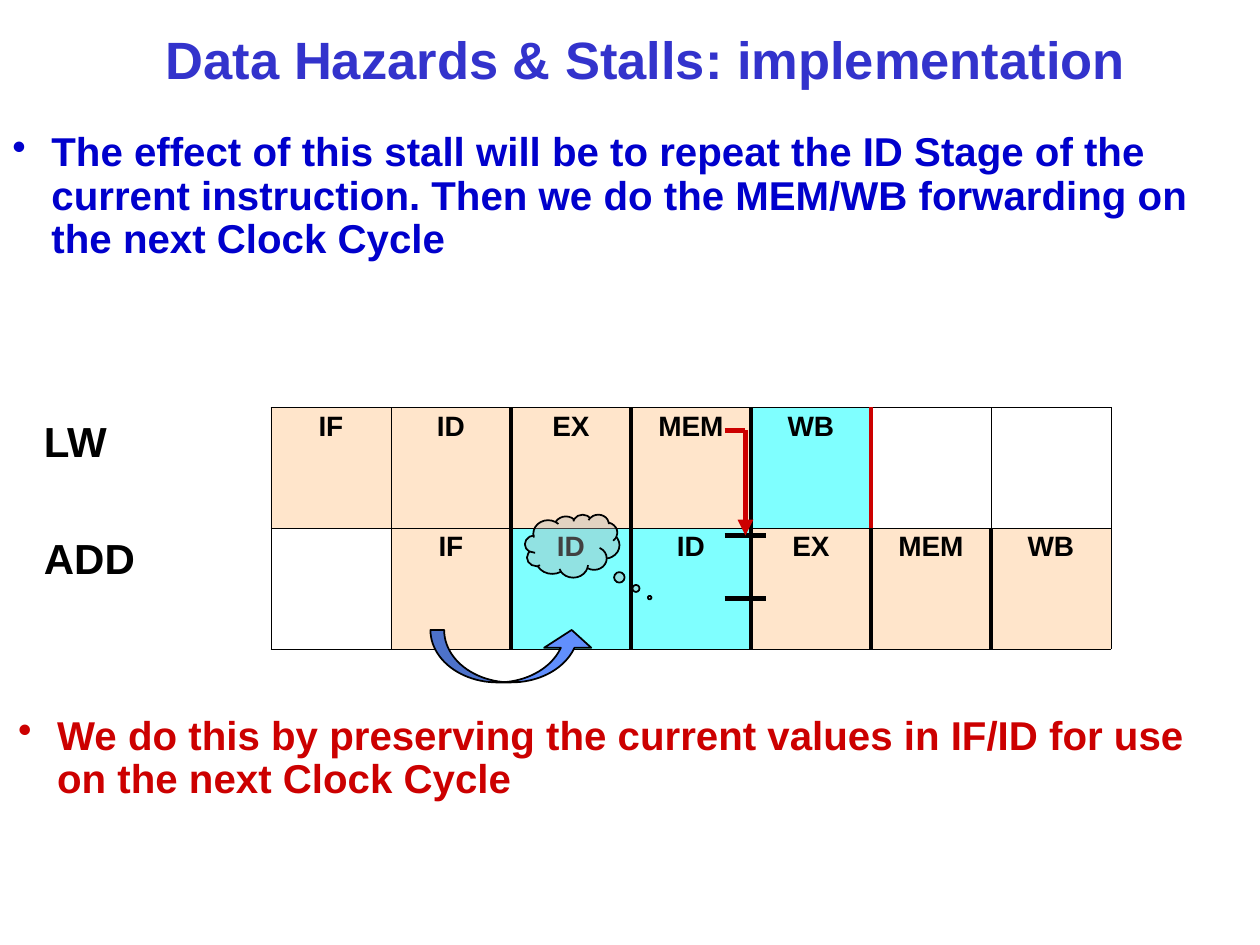
from pptx import Presentation
from pptx.dml.color import RGBColor
from pptx.enum.shapes import MSO_CONNECTOR, MSO_SHAPE
from pptx.enum.text import MSO_ANCHOR, PP_ALIGN
from pptx.oxml.ns import qn
from pptx.util import Inches, Pt
from lxml import etree

STRAIGHT = MSO_CONNECTOR.STRAIGHT
CLOUD = MSO_SHAPE.CLOUD_CALLOUT
CURVED_ARROW = MSO_SHAPE.CURVED_UP_ARROW
ROUNDED = MSO_SHAPE.ROUNDED_RECTANGLE
CENTER, LEFT = PP_ALIGN.CENTER, PP_ALIGN.LEFT
TOP, MIDDLE = MSO_ANCHOR.TOP, MSO_ANCHOR.MIDDLE

BLACK, RED, BLUE, TITLE_BLUE = "000000", "CC0000", "0000CC", "3333CC"
PEACH, CYAN, GRAY, ARROW_BLUE = "FFCC99", "00FFFF", "B2B2B2", "618FFD"
THIN, THICK, HAZARD = (BLACK, 0.45), (BLACK, 3), (RED, 3)

# Stage name and fill for each clock cycle, then the borders between cycles.
PIPELINE = [
    ([("IF", PEACH), ("ID", PEACH), ("EX", PEACH), ("MEM", PEACH),
      ("WB", CYAN), None, None],
     [THIN] * 2 + [THICK] * 3 + [HAZARD] + [THIN] * 2),
    ([None, ("IF", PEACH), ("ID", CYAN), ("ID", CYAN), ("EX", PEACH),
      ("MEM", PEACH), ("WB", PEACH)],
     [THIN] * 2 + [THICK] * 5 + [THIN]),
]


def rgb(code):
    return RGBColor.from_string(code)


def add_node(parent, tag, **attributes):
    node = etree.SubElement(parent, qn(tag))
    for name, value in attributes.items():
        node.set(name, str(value))
    return node


def set_opacity(properties, percent):
    """Make the solid fill held by a properties element see-through."""
    color = properties.find(qn("a:solidFill")).find(qn("a:srgbClr"))
    add_node(color, "a:alpha", val=percent * 1000)


class PipelineSlide:
    """Places elements on a grid of 120 columns by 90 rows."""

    font = "Arial"
    unit = Inches(10) / 120
    indent = Inches(0.31)

    def __init__(self, page):
        self.page = page

    def grid(self, *lengths):
        return [round(length * self.unit) for length in lengths]

    def fill_para(self, para, text, size, color, align=LEFT, spacing=None):
        para.text = text
        para.alignment = align
        para.line_spacing = spacing
        for span in para.runs:
            span.font.name = self.font
            span.font.size = Pt(size)
            span.font.bold = True
            span.font.color.rgb = rgb(color)

    def text(self, area, lines, size, color, align=LEFT, anchor=TOP,
             spacing=None, gap=0):
        box = self.page.shapes.add_textbox(*self.grid(*area))
        frame = box.text_frame
        frame.word_wrap = True
        frame.vertical_anchor = anchor
        frame.text = "\n".join(lines)
        for index, (para, line) in enumerate(zip(frame.paragraphs, lines)):
            self.fill_para(para, line, size, color, align, spacing)
            if index:
                para.space_before = Pt(gap)

    def shape(self, kind, area, adjustments, fill=None, opacity=100):
        shape = self.page.shapes.add_shape(kind, *self.grid(*area))
        shape.shadow.inherit = False
        for index, value in enumerate(adjustments):
            shape.adjustments[index] = value
        if fill is None:
            shape.fill.background()
            shape.line.fill.background()
            return shape
        shape.fill.solid()
        shape.fill.fore_color.rgb = rgb(fill)
        set_opacity(shape.element.spPr, opacity)
        shape.line.color.rgb = rgb(BLACK)
        shape.line.width = Pt(1)
        return shape

    def bullet(self, area, text, color, rounding):
        box = self.shape(ROUNDED, area, [rounding])
        frame = box.text_frame
        frame.word_wrap = True
        frame.vertical_anchor = TOP
        para = frame.paragraphs[0]
        properties = para._p.get_or_add_pPr()
        properties.set("marL", str(self.indent))
        properties.set("indent", str(-self.indent))
        bullet_color = add_node(properties, "a:buClr")
        add_node(bullet_color, "a:srgbClr", val=color)
        add_node(properties, "a:buChar", char="•")
        self.fill_para(para, text, 23, color, spacing=0.9)

    def line(self, start, end, color, arrow=False):
        line = self.page.shapes.add_connector(
            STRAIGHT, *self.grid(*start, *end))
        line.line.color.rgb = rgb(color)
        line.line.width = Pt(3)
        properties = line.element.spPr
        if arrow:
            add_node(properties.find(qn("a:ln")), "a:tailEnd", type="triangle")
        add_node(properties, "a:effectLst")

    def cell(self, cell, stage, borders):
        """Style one cell; borders run left, right, top, bottom."""
        properties = cell._tc.get_or_add_tcPr()
        for side, (color, width) in zip("LRTB", borders):
            edge = add_node(properties, f"a:ln{side}", w=int(Pt(width)))
            add_node(add_node(edge, "a:solidFill"), "a:srgbClr", val=color)
        cell.margin_left = cell.margin_right = Inches(0.05)
        cell.margin_top = cell.margin_bottom = Inches(0.05)
        if stage is None:
            cell.fill.background()
            return
        name, fill = stage
        cell.fill.solid()
        cell.fill.fore_color.rgb = rgb(fill)
        set_opacity(properties, 50)
        para = cell.text_frame.paragraphs[0]
        self.fill_para(para, name, 16, BLACK, CENTER, 0.9)

    def table(self, area, rows):
        columns = len(rows[0][0])
        table = self.page.shapes.add_table(
            len(rows), columns, *self.grid(*area)).table
        table.first_row = table.horz_banding = False
        for row, (stages, edges) in enumerate(rows):
            for column, stage in enumerate(stages):
                borders = [edges[column], edges[column + 1], THIN, THIN]
                self.cell(table.cell(row, column), stage, borders)


def main():
    deck = Presentation()
    deck.slide_width, deck.slide_height = Inches(10), Inches(7.5)
    slide = PipelineSlide(deck.slides.add_slide(deck.slide_layouts[6]))

    slide.text((3, 2, 117, 8), ["Data Hazards & Stalls: implementation"],
               30, TITLE_BLUE, CENTER, MIDDLE, 0.9)
    slide.bullet(
        (0, 12, 117, 23),
        "The effect of this stall will be to repeat the ID Stage of the "
        "current instruction. Then we do the MEM/WB forwarding on the next "
        "Clock Cycle", BLUE, rounding=0)
    slide.text((3, 39, 12, 17), ["LW", "ADD"], 24, BLACK, gap=38)
    slide.table((25.8, 38.8, 80, 23), PIPELINE)

    slide.shape(CLOUD, (50, 49, 9, 6), [0.82, 0.82], GRAY, 37)
    for row in (51, 57):
        slide.line((69, row), (73, row), BLACK)
    slide.line((71, 41), (71, 51), RED, arrow=True)
    slide.line((69, 41), (71, 41), RED)

    slide.bullet(
        (0, 67, 117, 15),
        "We do this by preserving the current values in IF/ID for use on the "
        "next Clock Cycle", RED, rounding=0.125)
    slide.shape(CURVED_ARROW, (41, 60, 15.7, 5), [0.26, 0.9, 0.34], ARROW_BLUE)
    deck.save("out.pptx")


if __name__ == "__main__":
    main()
